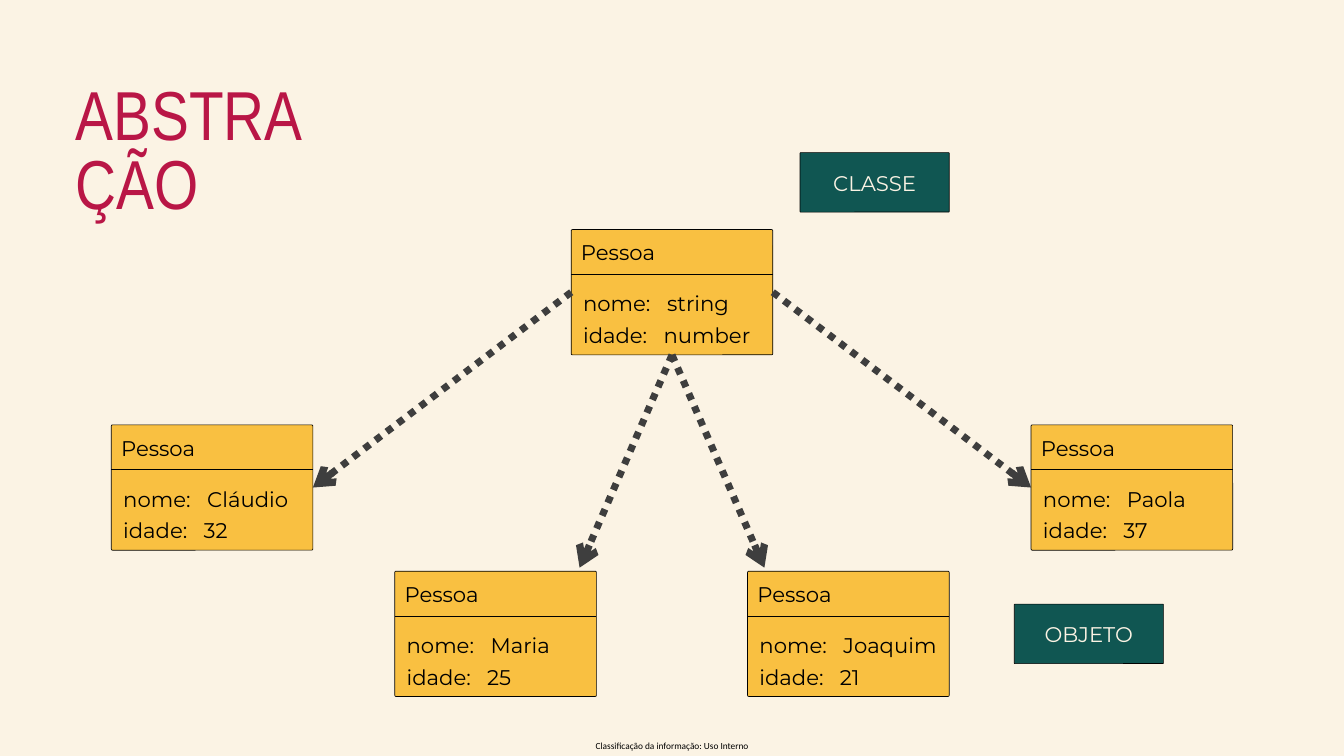
from dataclasses import dataclass

from lxml.etree import SubElement
from pptx import Presentation
from pptx.dml.color import RGBColor
from pptx.enum.dml import MSO_LINE
from pptx.enum.shapes import MSO_CONNECTOR, MSO_SHAPE
from pptx.enum.text import MSO_ANCHOR, MSO_AUTO_SIZE, PP_ALIGN
from pptx.oxml.ns import qn
from pptx.util import Emu, Pt

EMU_PER_PX = 9525
CARD_WIDTH, CARD_HEIGHT = 288, 179
LABEL_WIDTH, LABEL_HEIGHT = 213, 85
LEFT, BOTTOM, RIGHT = 1, 2, 3


@dataclass(frozen=True)
class Theme:
    """Colours, fonts and type sizes of the slide."""
    cream: RGBColor = RGBColor.from_string("FBF3E4")
    yellow: RGBColor = RGBColor.from_string("F9C041")
    green: RGBColor = RGBColor.from_string("105652")
    crimson: RGBColor = RGBColor.from_string("B91646")
    grey: RGBColor = RGBColor.from_string("3E3E3E")
    black: RGBColor = RGBColor.from_string("000000")
    title_font: str = "Arial Narrow"
    body_font: str = "Montserrat"
    footer_font: str = "Calibri"
    title_size: float = 74.2
    body_size: float = 22.7
    body_leading: float = 34.1
    footer_size: float = 10


THEME = Theme()


def px(*lengths):
    """Turn pixel lengths into EMU."""
    return [Emu(length * EMU_PER_PX) for length in lengths]


def style_para(para, font, size, color, align, leading=None):
    """Set the type and spacing of one paragraph."""
    para.alignment = align
    if leading:
        para.line_spacing = Pt(leading)
    para.font.name = font
    para.font.size = Pt(size)
    para.font.color.rgb = color


def clear_margins(frame, anchor):
    """Make a wrapping text frame without insets."""
    frame.word_wrap = True
    frame.vertical_anchor = anchor
    frame.margin_left = frame.margin_top = frame.margin_right = frame.margin_bottom = 0


def add_text(shapes, box, anchor=MSO_ANCHOR.TOP):
    """Add an empty text box and return its frame."""
    frame = shapes.add_textbox(*px(*box)).text_frame
    clear_margins(frame, anchor)
    return frame


def style_body(para, color, align):
    """Apply the body type to a paragraph."""
    style_para(para, THEME.body_font, THEME.body_size, color, align, THEME.body_leading)


def add_panel(shapes, box, fill):
    """Add a filled, thinly outlined box with barely rounded corners."""
    panel = shapes.add_shape(MSO_SHAPE.ROUNDED_RECTANGLE, *px(*box))
    panel.adjustments[0] = 0.01
    panel.shadow.inherit = False
    panel.fill.solid()
    panel.fill.fore_color.rgb = fill
    panel.line.color.rgb = THEME.black
    panel.line.width = Pt(0.75)
    return panel


def add_line(shapes, start, end, color, width):
    """Add a straight connector without a shadow."""
    line = shapes.add_connector(MSO_CONNECTOR.STRAIGHT, *px(*start, *end))
    line.line.color.rgb = color
    line.line.width = Pt(width)
    SubElement(line._element.spPr, qn("a:effectLst"))
    return line


def add_card(page, left, top, name, age):
    """Draw a Pessoa card with its two fields and return its panel."""
    shapes = page.shapes.add_group_shape().shapes
    panel = add_panel(shapes, (left, top, CARD_WIDTH, CARD_HEIGHT), THEME.yellow)
    heading = add_text(shapes, (left + 14, top + 5, 142, 42)).paragraphs[0]
    heading.text = "Pessoa"
    style_body(heading, THEME.black, PP_ALIGN.JUSTIFY)
    add_line(shapes, (left, top + 64), (left + CARD_WIDTH, top + 64), THEME.black, 1)
    frame = add_text(shapes, (left + 17, top + 78, 258, 87))
    frame.text = f"nome:\t{name}\nidade:\t{age}"
    for para, stop in zip(frame.paragraphs, px(120, 115)):
        tabs = SubElement(para._p.get_or_add_pPr(), qn("a:tabLst"))
        SubElement(tabs, qn("a:tab"), pos=str(stop), algn="l")
        style_body(para, THEME.black, PP_ALIGN.JUSTIFY)
    return panel


def add_arrow(page, start, end):
    """Draw a thick dotted arrow."""
    arrow = add_line(page.shapes, start, end, THEME.grey, 7.5)
    arrow.line.dash_style = MSO_LINE.ROUND_DOT
    SubElement(arrow.line._get_or_add_ln(), qn("a:tailEnd"), type="arrow")
    return arrow


def add_label(page, left, top, text):
    """Draw a green label."""
    panel = add_panel(page.shapes, (left, top, LABEL_WIDTH, LABEL_HEIGHT), THEME.green)
    frame = panel.text_frame
    clear_margins(frame, MSO_ANCHOR.MIDDLE)
    frame.margin_bottom = px(8)[0]
    frame.text = text
    style_body(frame.paragraphs[0], THEME.cream, PP_ALIGN.CENTER)


def add_title(page, box, text):
    """Fill and place the title placeholder."""
    title = page.shapes.title
    title.left, title.top, title.width, title.height = px(*box)
    frame = title.text_frame
    clear_margins(frame, MSO_ANCHOR.TOP)
    frame.auto_size = MSO_AUTO_SIZE.SHAPE_TO_FIT_TEXT
    frame.text = text
    style_para(frame.paragraphs[0], THEME.title_font, THEME.title_size, THEME.crimson,
               PP_ALIGN.LEFT, THEME.title_size)


def add_footer(page, box, text):
    """Write the classification line."""
    para = add_text(page.shapes, box, MSO_ANCHOR.MIDDLE).paragraphs[0]
    para.text = text
    style_para(para, THEME.footer_font, THEME.footer_size, THEME.black, PP_ALIGN.CENTER)


def add_diagram(page):
    """Draw the class, its four objects and the arrows between them."""
    person = add_card(page, 816, 328, "string", "number")
    claudio = add_card(page, 159, 607, "Cláudio", "32")
    add_card(page, 564, 816, "Maria", "25")
    add_card(page, 1068, 816, "Joaquim", "21")
    paola = add_card(page, 1473, 607, "Paola", "37")
    for card, start_side, end_side in ((paola, RIGHT, LEFT), (claudio, LEFT, RIGHT)):
        arrow = add_arrow(page, (0, 0), (0, 0))
        arrow.begin_connect(person, start_side)
        arrow.end_connect(card, end_side)
    for end in ((1092, 811), (828, 811)):
        add_arrow(page, (960, 507), end).begin_connect(person, BOTTOM)


def main():
    """Build and save the deck."""
    deck = Presentation()
    deck.slide_width, deck.slide_height = px(1920, 1080)
    page = deck.slides.add_slide(deck.slide_layouts[5])
    page.background.fill.solid()
    page.background.fill.fore_color.rgb = THEME.cream
    add_title(page, (108, 121, 351, 107), "ABSTRAÇÃO")
    add_diagram(page)
    add_label(page, 1143, 218, "CLASSE")
    add_label(page, 1449, 863, "OBJETO")
    add_footer(page, (833, 1052, 254, 28), "Classificação da informação: Uso Interno")
    deck.save("out.pptx")


if __name__ == "__main__":
    main()
